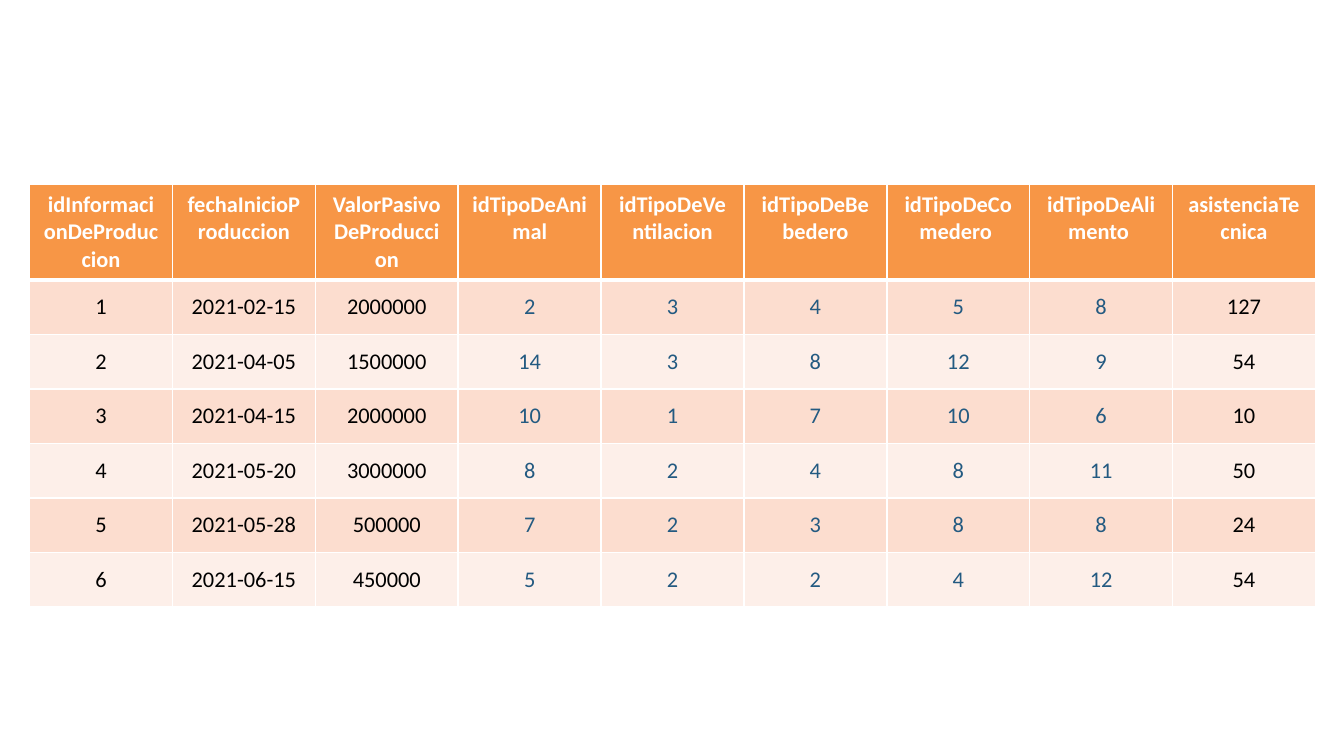
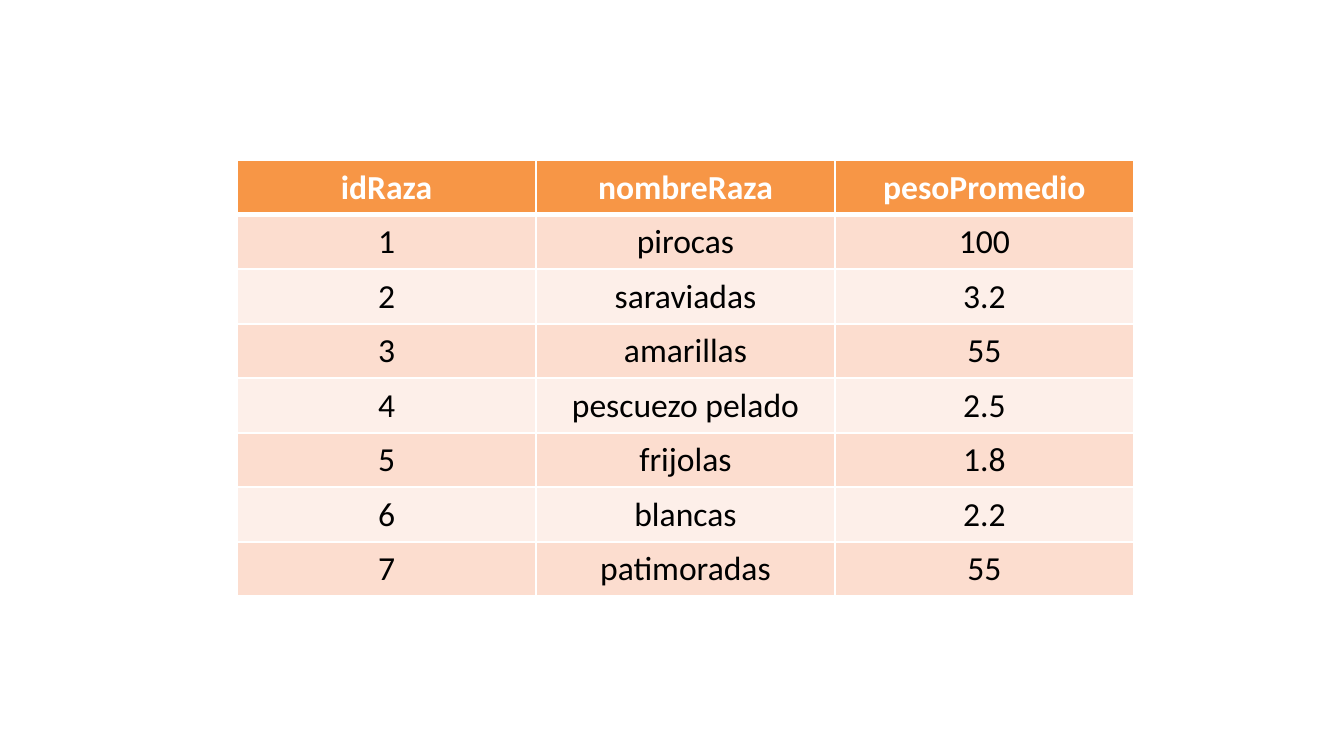
"""Build two slides that each show a banded data table."""
from lxml import etree
from pptx import Presentation
from pptx.dml import color
from pptx.enum import text
from pptx.oxml import ns
from pptx import util as u

FONT = "Calibri"
ROW = u.Cm(1.03)
HUES = {
    "head": "F79646",
    "odd": "FCDDCF",
    "even": "FDEFE9",
    "white": "FFFFFF",
    "black": "000000",
    "blue": "235A81",
}

FARM = [
    ["idInformacionDeProduccion", "fechaInicioProduccion",
     "ValorPasivoDeProduccion", "idTipoDeAnimal", "idTipoDeVentilacion",
     "idTipoDeBebedero", "idTipoDeComedero ", "idTipoDeAlimento ",
     "asistenciaTecnica"],
    ["1", "2021-02-15", "2000000", "2", "3", "4", "5", "8", "127"],
    ["2", "2021-04-05", "1500000", "14", "3", "8", "12", "9", "54"],
    ["3", "2021-04-15", "2000000", "10", "1", "7", "10", "6", "10"],
    ["4", "2021-05-20", "3000000", "8", "2", "4", "8", "11", "50"],
    ["5", "2021-05-28", "500000", "7", "2", "3", "8", "8", "24"],
    ["6", "2021-06-15", "450000", "5", "2", "2", "4", "12", "54"],
]
BREEDS = [
    ["idRaza", "nombreRaza", " pesoPromedio "],
    ["1", "pirocas", "100"],
    ["2", "saraviadas", "3.2"],
    ["3", "amarillas", "55"],
    ["4", "pescuezo pelado", "2.5"],
    ["5", "frijolas", "1.8"],
    ["6", "blancas", "2.2"],
    ["7", "patimoradas", "55"],
]


def rgb(name):
    """Return the named colour."""
    return color.RGBColor.from_string(HUES[name])


def edge(cell, row):
    """Draw white cell borders, thick between the header and the body."""
    props = cell._tc.get_or_add_tcPr()
    thick = {(0, "B"), (1, "T")}
    for side in "LRTB":
        width = u.Pt(3 if (row, side) in thick else 1)
        line = etree.SubElement(props, ns.qn("a:ln" + side), w=str(width))
        fill = etree.SubElement(line, ns.qn("a:solidFill"))
        etree.SubElement(fill, ns.qn("a:srgbClr"), val=HUES["white"])


def style(cell, size, ink, bold):
    """Centre the cell text and set its font."""
    para = cell.text_frame.paragraphs[0]
    para.alignment = text.PP_ALIGN.CENTER
    for run in para.runs:
        run.font.name = FONT
        run.font.size = u.Pt(size)
        run.font.bold = bold
        run.font.color.rgb = rgb(ink)


def grid(slide, data, left, top, width, size, keys=()):
    """Add a banded table; columns listed in keys have blue values."""
    count = len(data[0])
    frame = slide.shapes.add_table(len(data), count, u.Cm(left), u.Cm(top),
                                   u.Cm(width) * count, ROW * len(data))
    table = frame.table
    for col in table.columns:
        col.width = u.Cm(width)
    for r, values in enumerate(data):
        table.rows[r].height = ROW
        band = "head" if r == 0 else "odd" if r % 2 else "even"
        for c, value in enumerate(values):
            cell = table.cell(r, c)
            cell.text_frame.text = value
            edge(cell, r)
            cell.fill.solid()
            cell.fill.fore_color.rgb = rgb(band)
            if r == 0:
                style(cell, size, "white", True)
            else:
                cell.vertical_anchor = text.MSO_ANCHOR.MIDDLE
                style(cell, size, "blue" if c in keys else "black", False)


def main():
    """Build and save the deck."""
    deck = Presentation()
    deck.slide_width, deck.slide_height = u.Cm(25.4), u.Cm(14.29)
    blank = deck.slide_layouts[6]
    grid(deck.slides.add_slide(blank), FARM, 0.56, 3.49, 2.7, 12, range(3, 8))
    grid(deck.slides.add_slide(blank), BREEDS, 4.48, 3.03, 5.65, 18)
    deck.save("out.pptx")


if __name__ == "__main__":
    main()
